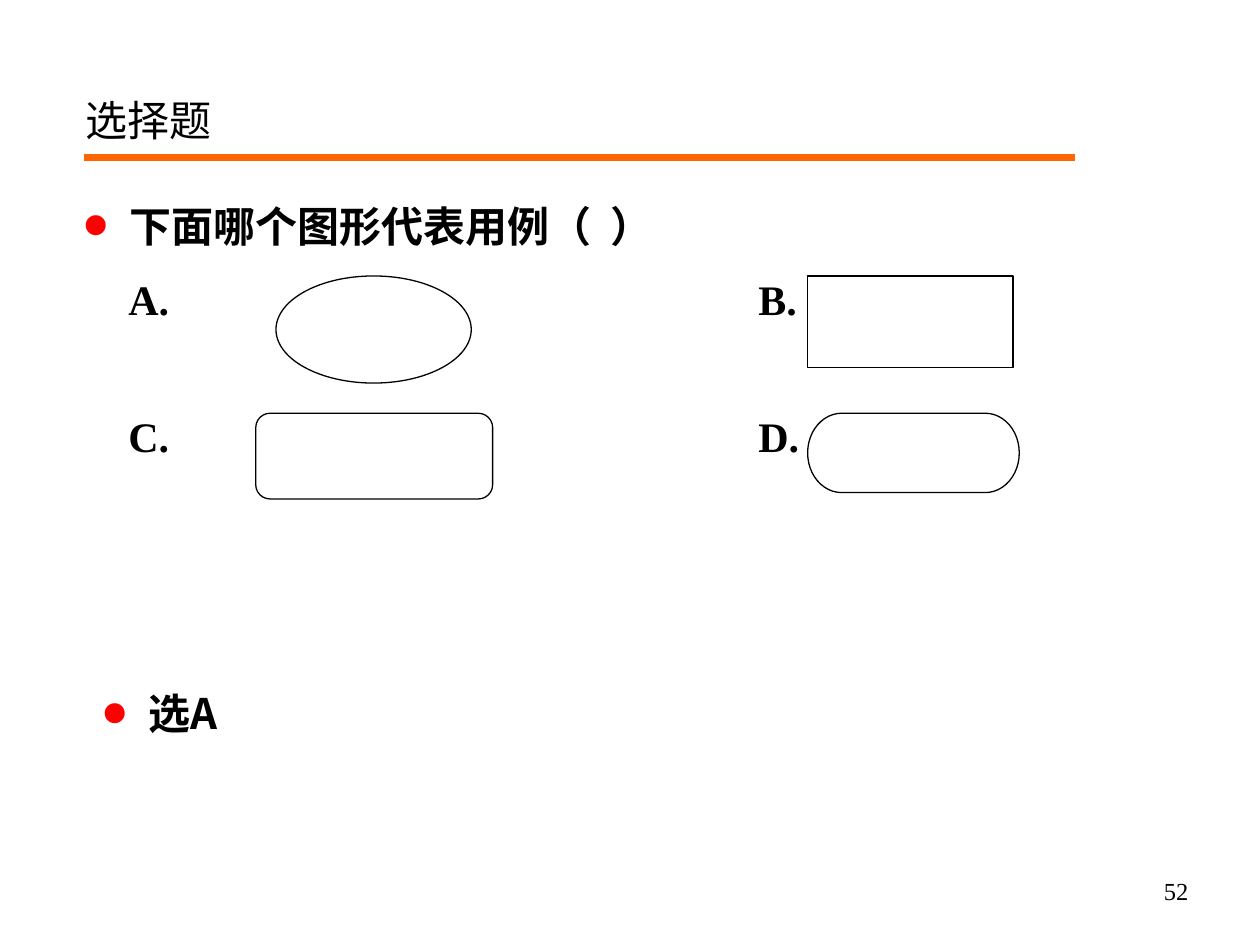
from lxml import etree
from pptx import Presentation
from pptx import util as u
from pptx.dml.color import RGBColor
from pptx.enum import shapes, text
from pptx.oxml.ns import qn

BLACK = RGBColor(0x00, 0x00, 0x00)
WHITE = RGBColor(0xFF, 0xFF, 0xFF)
ORANGE = RGBColor(0xFF, 0x66, 0x00)
RED = RGBColor(0xFF, 0x00, 0x00)
SERIF = "Times New Roman"
SANS = "Noto Sans CJK SC"
HANG = u.Inches(0.38)


def add_box(s, box):
    """Add an empty wrapping text box and return its text frame."""
    tf = s.shapes.add_textbox(*map(u.Inches, box)).text_frame
    tf.word_wrap = True
    return tf


def add_text(p, words, size=24, font=SERIF, bold=False, spacing=None, before=None):
    """Write one run into a paragraph and set its spacing."""
    p.line_spacing = spacing
    if before is not None:
        p.space_before = u.Pt(before)
    r = p.add_run()
    r.text = words
    r.font.size, r.font.name, r.font.bold = u.Pt(size), font, bold
    r.font.color.rgb = BLACK
    etree.SubElement(r.font._element, qn("a:ea"), typeface=SANS)


def add_bullet(p):
    """Give a paragraph a hanging indent and a large red bullet."""
    pPr = p._p.get_or_add_pPr()
    pPr.set("marL", str(HANG))
    pPr.set("indent", str(-HANG))
    clr = etree.SubElement(pPr, qn("a:buClr"))
    etree.SubElement(clr, qn("a:srgbClr"), val=str(RED))
    etree.SubElement(pPr, qn("a:buSzPct"), val="200000")
    etree.SubElement(pPr, qn("a:buFont"), typeface=SERIF)
    etree.SubElement(pPr, qn("a:buChar"), char="•")


def add_title(s, box, words):
    """Place the title and the orange rule below it."""
    tf = add_box(s, box)
    tf.auto_size = text.MSO_AUTO_SIZE.SHAPE_TO_FIT_TEXT
    add_text(tf.paragraphs[0], words, spacing=1.3, before=9)
    left, top, _, height = box
    y = u.Inches(top + height + 0.05)
    rule = s.shapes.add_connector(shapes.MSO_CONNECTOR.STRAIGHT,
                                  u.Inches(left + 0.09), y, u.Inches(8.53), y)
    rule.line.color.rgb = ORANGE
    rule.line.width = u.Pt(4)
    etree.SubElement(rule._element.spPr, qn("a:effectLst"))


def add_statement(s, box, words, font, spacing):
    """Place one bold bulleted statement."""
    p = add_box(s, box).paragraphs[0]
    add_text(p, words, font=font, bold=True, spacing=spacing, before=6)
    add_bullet(p)


def add_option(s, letter, label_left, kind, box):
    """Place an option letter and its outlined shape, level at the top."""
    label_box = (label_left, box[1] - 0.07, 0.6, 0.47)
    add_text(add_box(s, label_box).paragraphs[0], letter, bold=True)
    sp = s.shapes.add_shape(kind, *map(u.Inches, box))
    sp.shadow.inherit = False
    sp.fill.solid()
    sp.fill.fore_color.rgb = WHITE
    sp.line.color.rgb = BLACK
    sp.line.width = u.Pt(0.75)


def add_page_number(s, box, number):
    """Place the right-aligned page number."""
    p = add_box(s, box).paragraphs[0]
    p.alignment = text.PP_ALIGN.RIGHT
    add_text(p, number, size=14)


def main():
    """Build the slide and save it."""
    prs = Presentation()
    prs.slide_width, prs.slide_height = u.Inches(10), u.Inches(7.5)
    s = prs.slides.add_slide(prs.slide_layouts[6])
    add_title(s, (0.58, 0.58, 5.99, 0.62), "选择题")
    add_page_number(s, (7.2, 6.9, 2.33, 0.44), "52")
    add_statement(s, (0.55, 1.48, 8.52, 0.6), "下面哪个图形代表用例（  ）", SERIF, 1.15)
    add_statement(s, (0.7, 5.31, 8.52, 1.8), "选A", SANS, 1.25)
    kinds = shapes.MSO_SHAPE
    left, right = 0.92, 5.92
    upper, lower = 2.19, 3.28
    for option in [
        ("A.", left, kinds.OVAL, (2.19, upper, 1.55, 0.85)),
        ("B.", right, kinds.RECTANGLE, (6.41, upper, 1.63, 0.73)),
        ("C.", left, kinds.ROUNDED_RECTANGLE, (2.03, lower, 1.88, 0.68)),
        ("D.", right, kinds.FLOWCHART_TERMINATOR, (6.41, lower, 1.68, 0.63)),
    ]:
        add_option(s, *option)
    prs.save("out.pptx")


if __name__ == "__main__":
    main()
